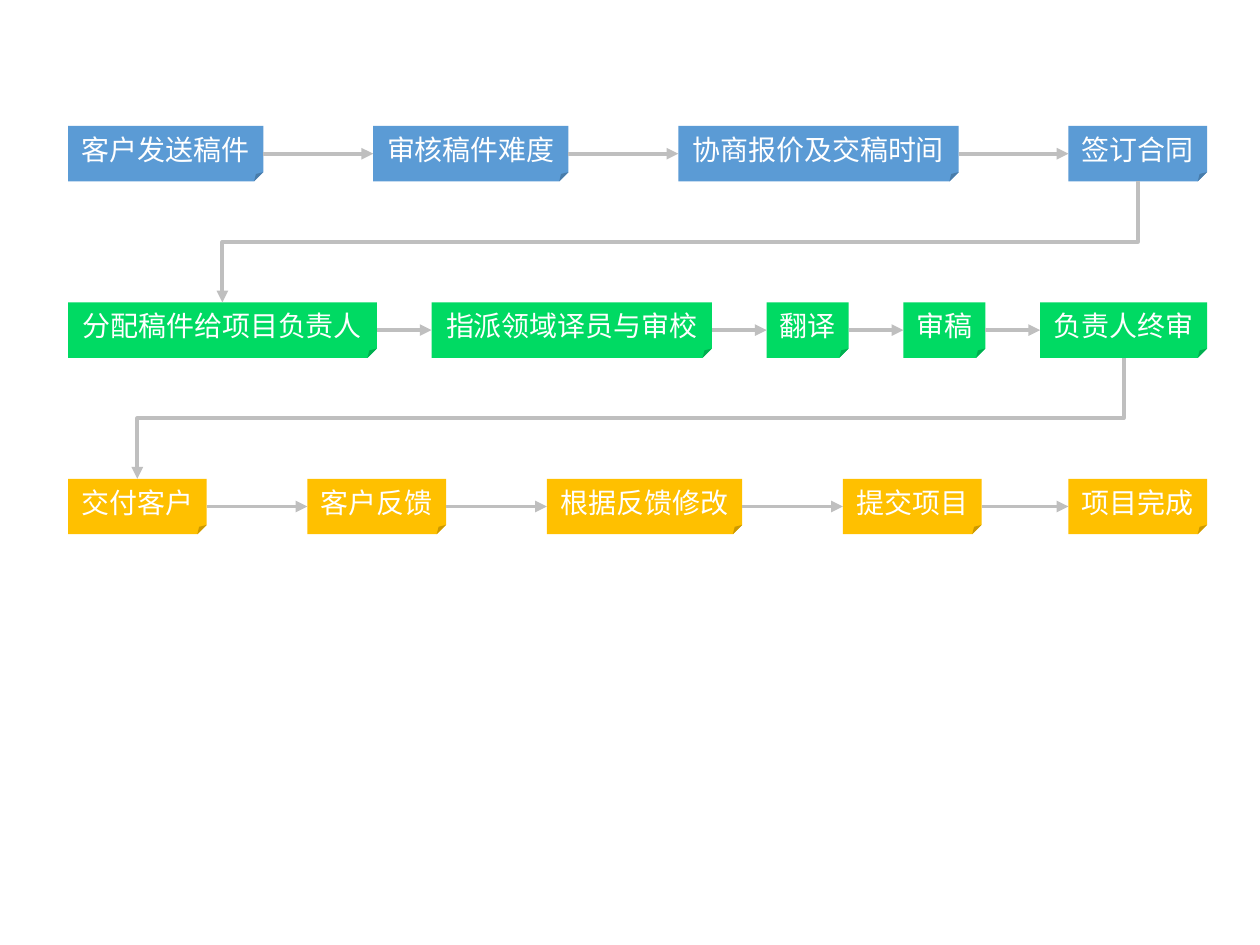
from lxml import etree
from pptx import Presentation
from pptx.dml.color import RGBColor
from pptx.enum.shapes import MSO_CONNECTOR, MSO_SHAPE
from pptx.enum.text import MSO_ANCHOR, MSO_AUTO_SIZE, PP_ALIGN
from pptx.oxml.ns import qn
from pptx.util import Inches, Pt

# Content: colour, fixed gap (None spreads the steps evenly), steps
STAGES = [
    ("5B9BD5", None, ["客户发送稿件", "审核稿件难度", "协商报价及交稿时间", "签订合同"]),
    ("00DA63", None, ["分配稿件给项目负责人", "指派领域译员与审校", "翻译", "审稿", "负责人终审"]),
    ("FFC000", 0.8, ["交付客户", "客户反馈", "根据反馈修改", "提交项目", "项目完成"]),
]
FONT, WHITE, GREY = "Noto Sans CJK SC", "FFFFFF", "BFBFBF"
LEFT, RIGHT = 0.54, 9.58
TOP, ROW_PITCH, BOX_H = 1, 1.4, 0.44
CHAR_W, BOX_PAD = 0.225, 0.2
SITE_TOP, SITE_LEFT, SITE_BOTTOM, SITE_RIGHT = range(4)

prs = Presentation()
prs.slide_width, prs.slide_height = Inches(10), Inches(7.5)
shapes = prs.slides.add_slide(prs.slide_layouts[6]).shapes


def color(hex_code):
    return RGBColor.from_string(hex_code)


def add_step(text, x, y, width, fill):
    box = shapes.add_shape(MSO_SHAPE.FOLDED_CORNER, Inches(x), Inches(y),
                           Inches(width), Inches(BOX_H))
    box.shadow.inherit = False
    box.fill.solid()
    box.fill.fore_color.rgb = color(fill)
    box.line.fill.background()
    frame = box.text_frame
    frame.word_wrap = False
    frame.auto_size = MSO_AUTO_SIZE.SHAPE_TO_FIT_TEXT
    frame.vertical_anchor = MSO_ANCHOR.MIDDLE
    paragraph = frame.paragraphs[0]
    paragraph.alignment = PP_ALIGN.CENTER
    run = paragraph.add_run()
    run.text = text
    run.font.size, run.font.name = Pt(16), FONT
    run.font.color.rgb = color(WHITE)
    etree.SubElement(run.font._element, qn("a:ea"), typeface=FONT)
    return box


def add_arrow(kind, start, start_site, end, end_site):
    arrow = shapes.add_connector(kind, 0, 0, 0, 0)
    arrow.begin_connect(start, start_site)
    arrow.end_connect(end, end_site)
    arrow.line.color.rgb = color(GREY)
    arrow.line.width = Pt(2.25)
    etree.SubElement(arrow.line._get_or_add_ln(), qn("a:tailEnd"), type="triangle")
    etree.SubElement(arrow._element.spPr, qn("a:effectLst"))
    return arrow


def add_row_return(start, end):
    """Elbow that leaves downwards, runs left and enters from above."""
    arrow = add_arrow(MSO_CONNECTOR.ELBOW, start, SITE_BOTTOM, end, SITE_TOP)
    x1, y1 = start.left + start.width // 2, start.top + start.height
    x2, y2 = end.left + end.width // 2, end.top
    drop, span = y2 - y1, x1 - x2
    # The elbow is stored unrotated, then turned by 90 degrees about its centre
    arrow.left, arrow.top = (x1 + x2 - drop) // 2, (y1 + y2 - span) // 2
    arrow.width, arrow.height = drop, span
    xfrm = arrow._element.spPr.find(qn("a:xfrm"))
    for flip in ("flipH", "flipV"):
        xfrm.attrib.pop(flip, None)
    xfrm.set("rot", str(90 * 60000))


# Steps: widths follow the text length, the last step ends at the right margin
rows = []
for row, (fill, fixed_gap, steps) in enumerate(STAGES):
    widths = [BOX_PAD + CHAR_W * len(step) for step in steps]
    gap = fixed_gap or (RIGHT - LEFT - sum(widths)) / (len(steps) - 1)
    boxes, x = [], LEFT
    for step, width in zip(steps, widths):
        x = min(x, RIGHT - width)
        boxes.append(add_step(step, x, TOP + row * ROW_PITCH, width, fill))
        x += width + gap
    rows.append(boxes)

# Arrows within each row, then from row to row
for boxes in rows:
    for start, end in zip(boxes, boxes[1:]):
        add_arrow(MSO_CONNECTOR.STRAIGHT, start, SITE_RIGHT, end, SITE_LEFT)
for upper, lower in zip(rows, rows[1:]):
    add_row_return(upper[-1], lower[0])

prs.save("out.pptx")
